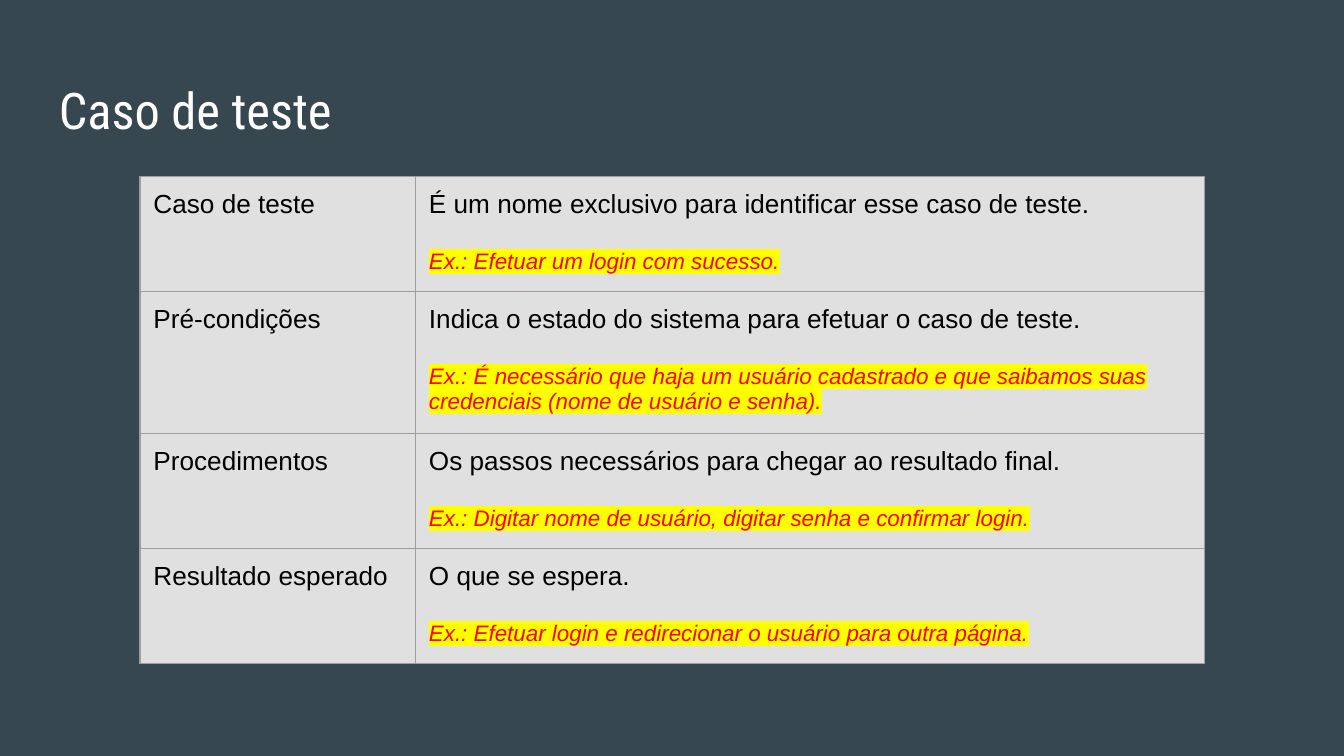
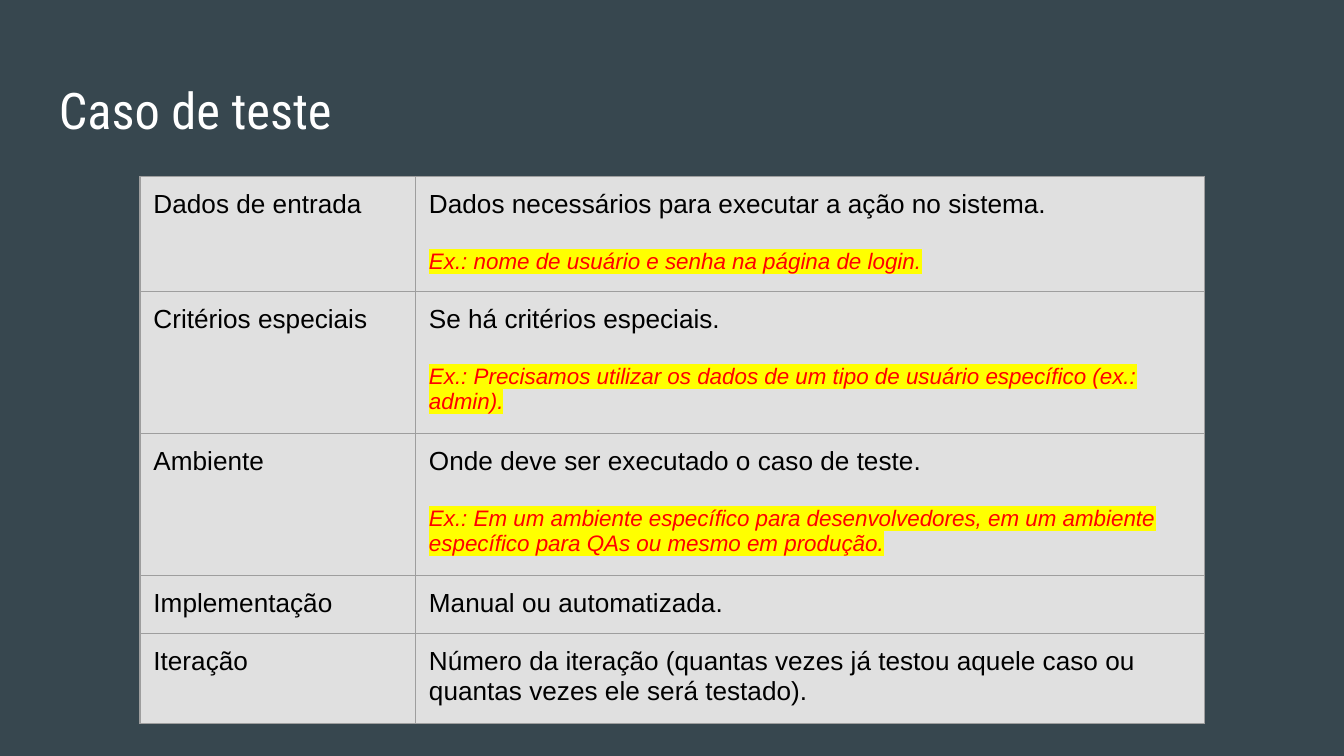
import pptx
import pptx.dml.color
import pptx.oxml.ns
import pptx.util
from lxml import etree

Pt = pptx.util.Pt

COLORS = {
    "background": "37474F",
    "title": "FFFFFF",
    "cell": "E0E0E0",
    "border": "9E9E9E",
    "text": "000000",
    "example": "FF0000",
    "highlight": "FFFF00",
}
TITLE = "Caso de teste"
INSET = Pt(7.2)
COLUMN_WIDTHS = (Pt(147.6), Pt(422.6))
ROW_HEIGHT = Pt(30.24)

SLIDE_ROWS = [
    [
        ("Caso de teste",
         "É um nome exclusivo para identificar esse caso de teste.",
         "Ex.: Efetuar um login com sucesso."),
        ("Pré-condições",
         "Indica o estado do sistema para efetuar o caso de teste.",
         "Ex.: É necessário que haja um usuário cadastrado e que saibamos suas "
         "credenciais (nome de usuário e senha)."),
        ("Procedimentos",
         "Os passos necessários para chegar ao resultado final.",
         "Ex.: Digitar nome de usuário, digitar senha e confirmar login."),
        ("Resultado esperado",
         "O que se espera.",
         "Ex.: Efetuar login e redirecionar o usuário para outra página."),
    ],
    [
        ("Dados de entrada",
         "Dados necessários para executar a ação no sistema.",
         "Ex.: nome de usuário e senha na página de login."),
        ("Critérios especiais",
         "Se há critérios especiais.",
         "Ex.: Precisamos utilizar os dados de um tipo de usuário específico "
         "(ex.: admin)."),
        ("Ambiente",
         "Onde deve ser executado o caso de teste.",
         "Ex.: Em um ambiente específico para desenvolvedores, em um ambiente "
         "específico para QAs ou mesmo em produção."),
        ("Implementação", "Manual ou automatizada.", None),
        ("Iteração",
         "Número da iteração (quantas vezes já testou aquele caso ou quantas "
         "vezes ele será testado).", None),
    ],
]


def rgb(name):
    """Return the named colour of the palette."""
    return pptx.dml.color.RGBColor.from_string(COLORS[name])


def add_color(parent, tag, name):
    """Append a colour-holding XML element to a parent."""
    holder = etree.SubElement(parent, pptx.oxml.ns.qn(tag))
    etree.SubElement(holder, pptx.oxml.ns.qn("a:srgbClr"), val=COLORS[name])


def set_insets(target):
    """Give a cell or text frame equal insets on all sides."""
    target.margin_left = target.margin_right = INSET
    target.margin_top = target.margin_bottom = INSET


def write(paragraph, text, size, color, font="Arial"):
    """Write styled text in a paragraph and return its run."""
    run = paragraph.add_run()
    run.text = text
    paragraph.font.name = font
    paragraph.font.size = Pt(size)
    paragraph.font.color.rgb = rgb(color)
    return run


def add_title(slide, text):
    """Add the slide title."""
    box = slide.shapes.add_textbox(Pt(24.5), Pt(35.3), Pt(671), Pt(45.4))
    frame = box.text_frame
    frame.word_wrap = True
    set_insets(frame)
    write(frame.paragraphs[0], text, 27, "title", "Roboto Condensed")


def add_example(cell, text):
    """Add a highlighted example one line below the cell's description."""
    paragraph = cell.text_frame.add_paragraph()
    paragraph.space_before = Pt(16)
    run = write(paragraph, text, 12, "example")
    paragraph.font.italic = True
    add_color(run.font._element, "a:highlight", "highlight")


def style_cell(cell):
    """Set the borders, fill and insets of a cell."""
    properties = cell._tc.get_or_add_tcPr()
    for side in "LRTB":
        line = etree.SubElement(
            properties, pptx.oxml.ns.qn(f"a:ln{side}"), w=str(Pt(0.75)))
        add_color(line, "a:solidFill", "border")
    cell.fill.solid()
    cell.fill.fore_color.rgb = rgb("cell")
    set_insets(cell)


def add_definition_table(slide, rows):
    """Add a table of terms, descriptions and optional examples."""
    table = slide.shapes.add_table(
        len(rows), 2, Pt(75), Pt(94.5),
        sum(COLUMN_WIDTHS), ROW_HEIGHT * len(rows)).table
    table.first_row = table.horz_banding = False
    for column, width in zip(table.columns, COLUMN_WIDTHS):
        column.width = width
    for index, (term, description, example) in enumerate(rows):
        for position, text in enumerate((term, description)):
            cell = table.cell(index, position)
            style_cell(cell)
            write(cell.text_frame.paragraphs[0], text, 14, "text")
        if example:
            add_example(table.cell(index, 1), example)


def main():
    """Build and save the presentation."""
    presentation = pptx.Presentation()
    presentation.slide_width = Pt(720)
    presentation.slide_height = Pt(405)
    for rows in SLIDE_ROWS:
        slide = presentation.slides.add_slide(presentation.slide_layouts[6])
        slide.background.fill.solid()
        slide.background.fill.fore_color.rgb = rgb("background")
        add_title(slide, TITLE)
        add_definition_table(slide, rows)
    presentation.save("out.pptx")


if __name__ == "__main__":
    main()
